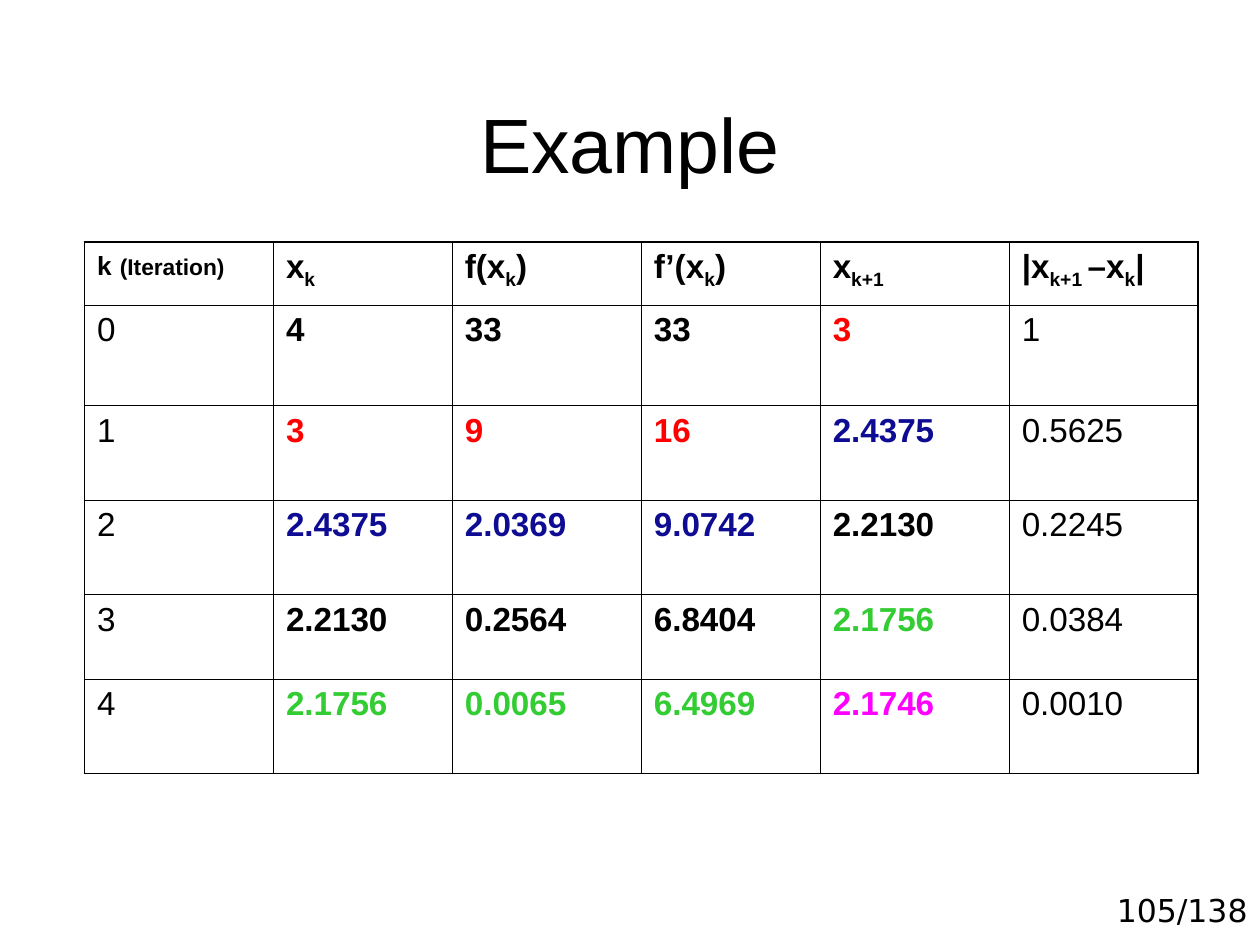
from lxml.etree import SubElement
from pptx import Presentation
from pptx.dml.color import RGBColor
from pptx.enum.text import MSO_ANCHOR as Anchor, PP_ALIGN as Align
from pptx.oxml.ns import qn
from pptx.util import Inches, Pt

BLACK = RGBColor(0x00, 0x00, 0x00)
RED = RGBColor(0xFF, 0x00, 0x00)
NAVY = RGBColor(0x0E, 0x0C, 0x93)
GREEN = RGBColor(0x33, 0xCC, 0x33)
PINK = RGBColor(0xFF, 0x00, 0xFF)

# Each heading alternates plain text and subscript.
HEADS = [
    ["x", "k"],
    ["f(x", "k", ")"],
    ["f’(x", "k", ")"],
    ["x", "k+1"],
    ["|x", "k+1 ", "–x", "k", "|"],
]
FIRST = [("k", 15), (" ", 17), ("(Iteration)", 13)]
ROWS = [
    ["0", "4", "33", "33", "3", "1"],
    ["1", "3", "9", "16", "2.4375", "0.5625"],
    ["2", "2.4375", "2.0369", "9.0742", "2.2130", "0.2245"],
    ["3", "2.2130", "0.2564", "6.8404", "2.1756", "0.0384"],
    ["4", "2.1756", "0.0065", "6.4969", "2.1746", "0.0010"],
]
# One colour per estimate: row k uses HUES[k], its next estimate HUES[k + 1].
HUES = [BLACK, RED, NAVY, BLACK, GREEN, PINK]
WIDTHS = [1.5, 1.42, 1.5, 1.42, 1.5, 1.5]
HEIGHTS = [0.5, 0.8, 0.75, 0.75, 0.67, 0.75]
THIN, THICK = 0.45, 1.08
NEXT, GAP = 4, 5  # columns of the next estimate and of the difference


def add_run(para, text, size=19, name="Arial", bold=False, hue=BLACK, sub=False):
    run = para.add_run()
    run.text = text
    for key, value in {"size": Pt(size), "name": name, "bold": bold}.items():
        setattr(run.font, key, value)
    run.font.color.rgb = hue
    if sub:
        run.font._element.set("baseline", "-25000")


def add_label(slide, box, text, align, anchor, **style):
    frame = slide.shapes.add_textbox(*map(Inches, box)).text_frame
    frame.word_wrap = True
    frame.vertical_anchor = anchor
    para = frame.paragraphs[0]
    para.alignment = align
    add_run(para, text, **style)


def set_edges(cell, row, col):
    """Draw thick lines on the table's outline and thin ones inside."""
    cell.fill.background()
    props = cell._tc.get_or_add_tcPr()
    outer = {"lnL": col == 0, "lnR": col == len(WIDTHS) - 1,
             "lnT": row == 0, "lnB": row == len(HEIGHTS) - 1}
    for place, (tag, edge) in enumerate(outer.items()):
        line = SubElement(props, qn(f"a:{tag}"), w=str(Pt(THICK if edge else THIN)))
        fill = SubElement(line, qn("a:solidFill"))
        SubElement(fill, qn("a:srgbClr"), val=str(BLACK))
        props.insert(place, line)


def fill_head(cell, col):
    para = cell.text_frame.paragraphs[0]
    if col == 0:
        for text, size in FIRST:
            add_run(para, text, size, bold=True)
    else:
        for place, text in enumerate(HEADS[col - 1]):
            add_run(para, text, bold=True, sub=place % 2 == 1)


def fill_value(cell, k, col):
    plain = col in (0, GAP)
    hue = BLACK if plain else HUES[k + (col == NEXT)]
    add_run(cell.text_frame.paragraphs[0], ROWS[k][col], bold=not plain, hue=hue)


def add_grid(slide):
    box = (0.67, 1.92, sum(WIDTHS), sum(HEIGHTS))
    table = slide.shapes.add_table(
        len(HEIGHTS), len(WIDTHS), *map(Inches, box)).table
    table.first_row = table.horz_banding = False
    for column, width in zip(table.columns, WIDTHS):
        column.width = Inches(width)
    for row, height in enumerate(HEIGHTS):
        table.rows[row].height = Inches(height)
        for col in range(len(WIDTHS)):
            cell = table.cell(row, col)
            set_edges(cell, row, col)
            if row == 0:
                fill_head(cell, col)
            else:
                fill_value(cell, row - 1, col)


def main():
    deck = Presentation()
    deck.slide_width, deck.slide_height = Inches(10), Inches(7.5)
    slide = deck.slides.add_slide(deck.slide_layouts[6])
    add_label(slide, (8.42, 7.02, 1.58, 0.4), "105/138", Align.RIGHT, Anchor.TOP,
              size=18, name="DejaVu Sans")
    add_label(slide, (0.5, 0.3, 9, 1.25), "Example", Align.CENTER, Anchor.BOTTOM,
              size=44)
    add_grid(slide)
    deck.save("out.pptx")


if __name__ == "__main__":
    main()
